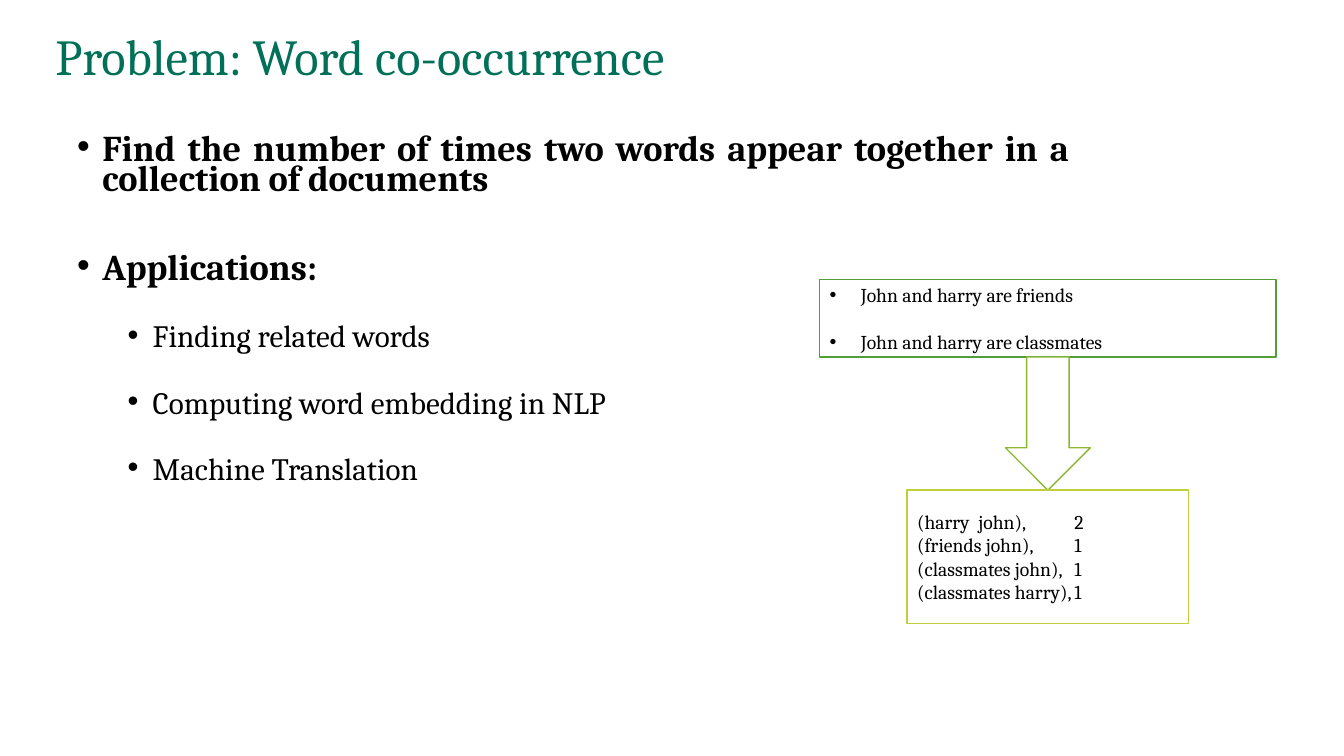
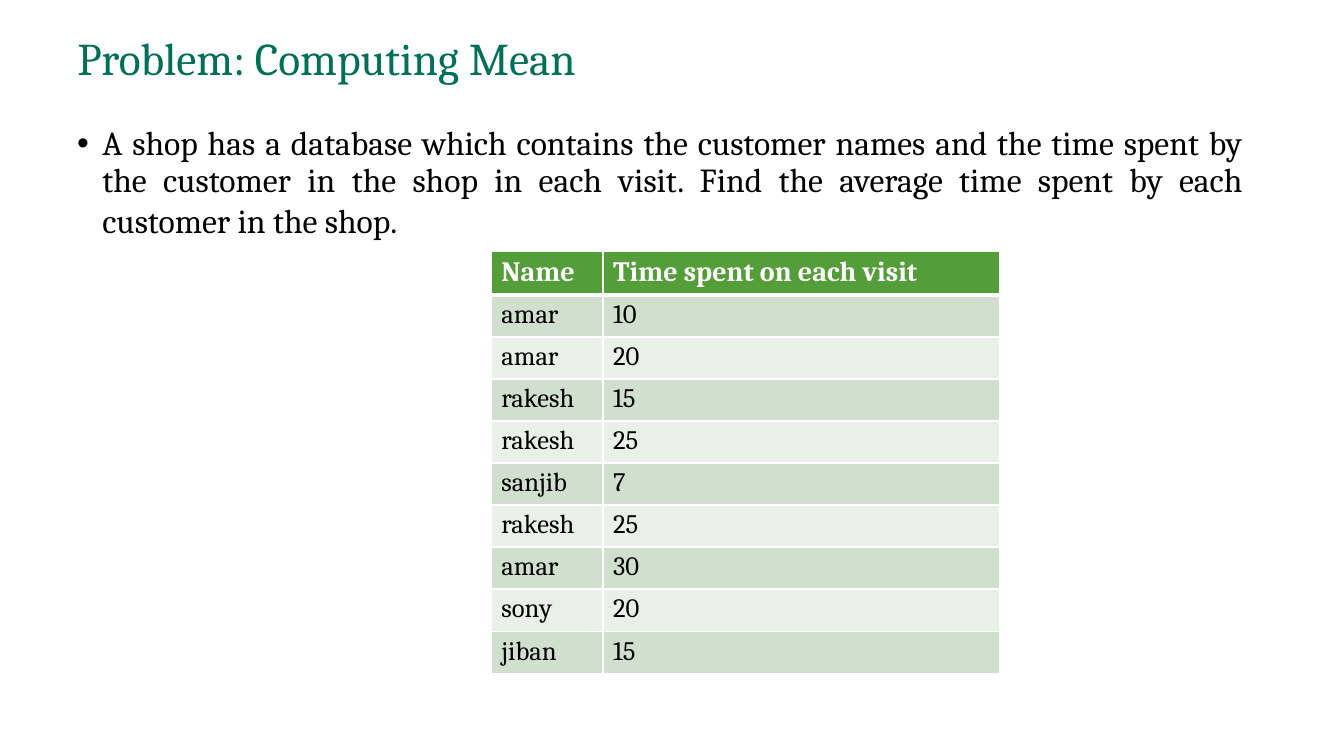
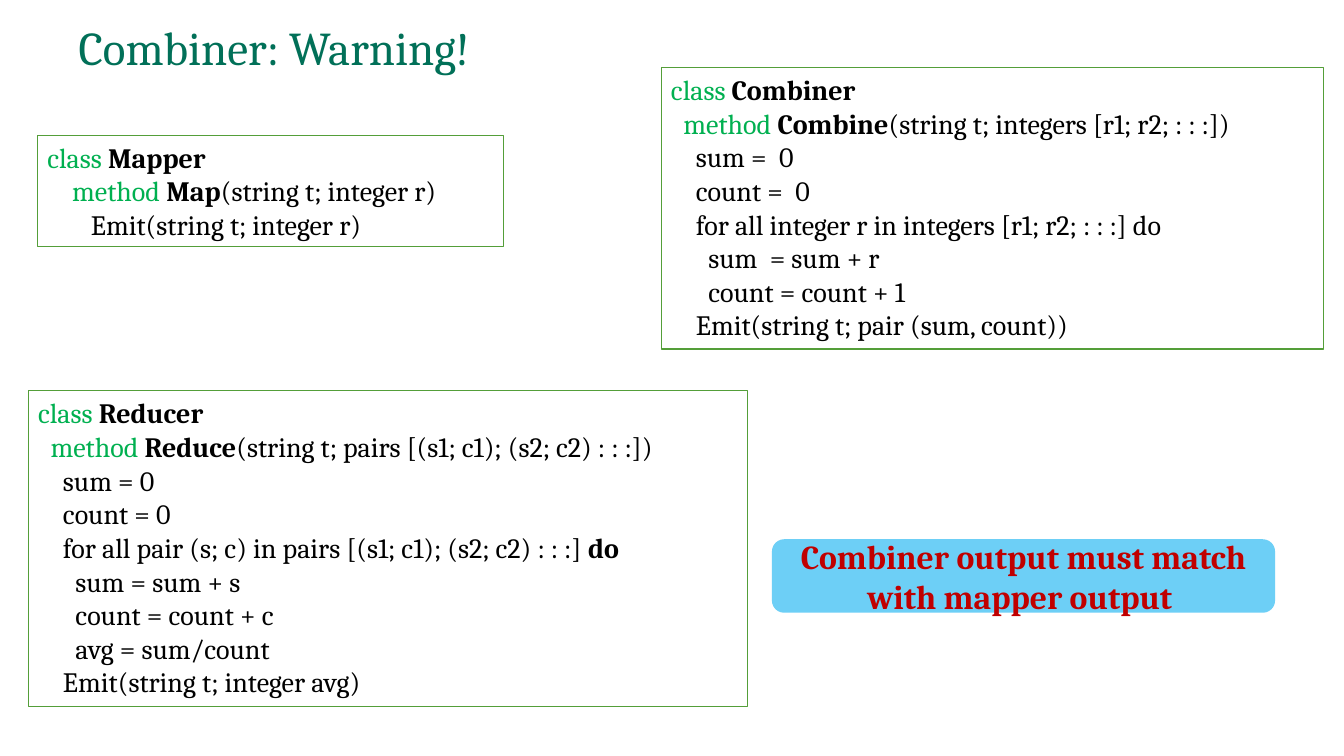
from lxml.etree import SubElement
from pptx import Presentation
from pptx.dml.color import RGBColor
from pptx.enum.shapes import MSO_SHAPE as Shape
from pptx.enum.text import MSO_ANCHOR as Anchor, MSO_AUTO_SIZE as AutoSize, PP_ALIGN as Align
from pptx.oxml.ns import qn
from pptx.util import Inches, Pt

WIDTH, HEIGHT = Inches(13.33), Inches(7.5)
COLUMNS, ROWS = 32, 18
FONT = "Cambria"
SPACE = 4.45
COLORS = {
    "title": "017058", "text": "000000", "white": "FFFFFF", "green": "549E39",
    "leaf": "8AB833", "lime": "C0CF3A", "keyword": "00B050", "odd": "D1DFCE",
    "even": "E9F0E8", "sky": "6DCFF6", "alert": "C00000",
}
KEYWORDS = ("class", "method")
MAPPER = [
    (0, ["class ", "Mapper"]),
    (4, ["method ", "Map", "(string t; integer r)"]),
    (7, ["Emit(string t; integer r)"]),
]
COMBINER = [
    (0, ["class ", "Combiner"]),
    (2, ["method ", "Combine", "(string t; integers [r1; r2; : : :])"]),
    (4, ["sum =  0"]),
    (4, ["count =  0"]),
    (4, ["for all integer r in integers [r1; r2; : : :] do"]),
    (6, ["sum  = sum + r"]),
    (6, ["count = count + 1"]),
    (4, ["Emit(string t; pair (sum, count))"]),
]
REDUCER = [
    (0, ["class ", "Reducer"]),
    (2, ["method ", "Reduce", "(string t; pairs [(s1; c1); (s2; c2) : : :])"]),
    (4, ["sum = 0"]),
    (4, ["count = 0"]),
    (4, ["for all pair (s; c) in pairs [(s1; c1); (s2; c2) : : :] ", "do"]),
    (6, ["sum = sum + s"]),
    (6, ["count = count + c"]),
    (6, ["avg = sum/count"]),
    (4, ["Emit(string t; integer avg)"]),
]
VISITS = [
    ("Name", "Time spent on each visit"), ("amar", "10"), ("amar", "20"),
    ("rakesh", "15"), ("rakesh", "25"), ("sanjib", "7"), ("rakesh", "25"),
    ("amar", "30"), ("sony", "20"), ("jiban", "15"),
]


def rgb(name):
    return RGBColor.from_string(COLORS[name])


def col(n):
    return int(WIDTH * n / COLUMNS)


def row(n):
    return int(HEIGHT * n / ROWS)


def grid(x, y, w, h):
    return col(x), row(y), col(w), row(h)


def style(r, size, color="text", bold=False):
    r.font.name = FONT
    r.font.size = Pt(size)
    r.font.bold = bold
    r.font.color.rgb = rgb(color)


def write(p, text, size, color="text", bold=False, align=Align.LEFT):
    p.text = text
    p.alignment = align
    for r in p.runs:
        style(r, size, color, bold)


def paragraphs(tf, count):
    return [tf.paragraphs[0]] + [tf.add_paragraph() for _ in range(count - 1)]


def indent(p, left, hanging=0):
    pPr = p._p.get_or_add_pPr()
    pPr.set("marL", str(int(left)))
    pPr.set("indent", str(-int(hanging)))
    return pPr


def bullet(p, left, hanging):
    pPr = indent(p, left, hanging)
    SubElement(pPr, qn("a:buFont")).set("typeface", "Arial")
    SubElement(pPr, qn("a:buChar")).set("char", "•")


def tab_stop(p, position):
    tabs = SubElement(p._p.get_or_add_pPr(), qn("a:tabLst"))
    tab = SubElement(tabs, qn("a:tab"))
    tab.set("pos", str(int(position)))
    tab.set("algn", "l")


def add_titled_slide(prs, text, size, place):
    s = prs.slides.add_slide(prs.slide_layouts[5])
    title = s.shapes.title
    title.left, title.top, title.width, title.height = grid(*place)
    tf = title.text_frame
    tf.auto_size = AutoSize.NONE
    tf.word_wrap = True
    tf.vertical_anchor = Anchor.MIDDLE
    p = tf.paragraphs[0]
    write(p, text, size, "title")
    p.line_spacing = 0.9
    return s


def add_body(s, place, items, spacing):
    tf = s.shapes.add_textbox(*grid(*place)).text_frame
    tf.word_wrap = True
    for p, (text, size, bold, left, before) in zip(paragraphs(tf, len(items)), items):
        write(p, text, size, bold=bold, align=Align.JUSTIFY)
        p.line_spacing = spacing
        p.space_before = Pt(before)
        bullet(p, Inches(left), Inches(0.25))
    return tf


def add_box(s, kind, place, fill=None, line=None, weight=1, anchor=Anchor.MIDDLE):
    sp = s.shapes.add_shape(kind, *grid(*place))
    sp.shadow.inherit = False
    if fill:
        sp.fill.solid()
        sp.fill.fore_color.rgb = rgb(fill)
    else:
        sp.fill.background()
    if line:
        sp.line.color.rgb = rgb(line)
        sp.line.width = Pt(weight)
    else:
        sp.line.fill.background()
    tf = sp.text_frame
    tf.word_wrap = True
    tf.vertical_anchor = anchor
    return tf


def add_code(s, place, lines):
    tf = add_box(s, Shape.RECTANGLE, place, line="green", weight=0.75, anchor=Anchor.TOP)
    for p, (spaces, parts) in zip(paragraphs(tf, len(lines)), lines):
        p.alignment = Align.LEFT
        indent(p, Pt(spaces * SPACE))
        for i, part in enumerate(parts):
            r = p.add_run()
            r.text = part
            keyword = part.strip() in KEYWORDS
            style(r, 20, "keyword" if keyword else "text", i == 1)


def cell_border(cell, side, weight):
    ln = SubElement(cell._tc.get_or_add_tcPr(), qn("a:ln" + side))
    ln.set("w", str(int(Pt(weight))))
    SubElement(SubElement(ln, qn("a:solidFill")), qn("a:srgbClr")).set("val", COLORS["white"])


def add_visits_table(s, x, y, widths, header_height, row_height):
    heights = [header_height] + [row_height] * (len(VISITS) - 1)
    place = grid(x, y, sum(widths), sum(heights))
    table = s.shapes.add_table(len(VISITS), len(widths), *place).table
    for column, w in zip(table.columns, widths):
        column.width = col(w)
    for i, (values, h) in enumerate(zip(VISITS, heights)):
        table.rows[i].height = row(h)
        header = i == 0
        fill = "green" if header else "odd" if i % 2 else "even"
        weights = {"L": 1, "R": 1, "T": 3 if i == 1 else 1, "B": 3 if header else 1}
        for j, value in enumerate(values):
            cell = table.cell(i, j)
            for side, weight in weights.items():
                cell_border(cell, side, weight)
            cell.fill.solid()
            cell.fill.fore_color.rgb = rgb(fill)
            write(cell.text_frame.paragraphs[0], value, 20 if header else 19,
                  "white" if header else "text", header)


def build_cooccurrence(prs):
    s = add_titled_slide(prs, "Problem: Word co-occurrence", 36, (1.08, 0.46, 27.6, 1.92))
    applications = ["Finding related words", "Computing word embedding in NLP", "Machine Translation"]
    add_body(s, (1.6, 3.14, 24.1, 9.46), [
        ("Find the number of times two words appear together in a collection of documents",
         25.9, True, 0.25, 10),
        ("Applications:", 25.9, True, 0.25, 41.8),
    ] + [(text, 22.2, False, 0.75, 28.7) for text in applications], 0.7)

    centre, top = 24.95, 6.65
    frames = []
    for kind, w, h, line in [
        (Shape.RECTANGLE, 10.87, 1.85, "green"),
        (Shape.DOWN_ARROW, 2.02, 3.17, "leaf"),
        (Shape.RECTANGLE, 6.7, 3.17, "lime"),
    ]:
        frames.append(add_box(s, kind, (centre - w / 2, top, w, h), "white", line))
        top += h
    documents, _, counts = frames

    sentences = ["John and harry are friends", "John and harry are classmates"]
    for i, (p, text) in enumerate(zip(paragraphs(documents, len(sentences)), sentences)):
        write(p, text, 14)
        p.space_before = Pt(16.9 * i)
        bullet(p, Inches(0.31), Inches(0.31))
    pairs = [("harry  john", 2), ("friends john", 1), ("classmates john", 1), ("classmates harry", 1)]
    for p, (pair, count) in zip(paragraphs(counts, len(pairs)), pairs):
        write(p, f"({pair}),\t{count}", 14)
        tab_stop(p, Inches(1.56))


def build_mean(prs):
    s = add_titled_slide(prs, "Problem: Computing Mean", 32.4, (1.6, 0.74, 28.8, 1.42))
    tf = add_body(s, (1.6, 2.9, 28.22, 13.6), [
        ("A shop has a database which contains the customer names and the time spent by the "
         "customer in the shop in each visit. Find the average time spent by each customer "
         "in the shop.", 24, False, 0.25, 10),
    ], 0.9)
    r = tf.paragraphs[0].add_run()
    r.text = " "
    style(r, 28)
    add_visits_table(s, 11.7, 5.98, (2.66, 9.43), 1.03, 0.99)


def build_warning(prs):
    s = add_titled_slide(prs, "Combiner: Warning!", 33.6, (1.63, 0.43, 27.6, 1.51))
    add_code(s, (0.89, 3.22, 11.09, 2.66), MAPPER)
    add_code(s, (0.67, 9.31, 17.14, 7.51), REDUCER)
    add_code(s, (15.74, 1.61, 15.77, 6.7), COMBINER)
    tf = add_box(s, Shape.ROUNDED_RECTANGLE, (18.38, 12.84, 11.98, 1.75), "sky")
    write(tf.paragraphs[0], "Combiner output must match with mapper output ", 24,
          "alert", True, Align.CENTER)


def main():
    prs = Presentation()
    prs.slide_width, prs.slide_height = WIDTH, HEIGHT
    build_cooccurrence(prs)
    build_mean(prs)
    build_warning(prs)
    prs.save("out.pptx")


if __name__ == "__main__":
    main()
